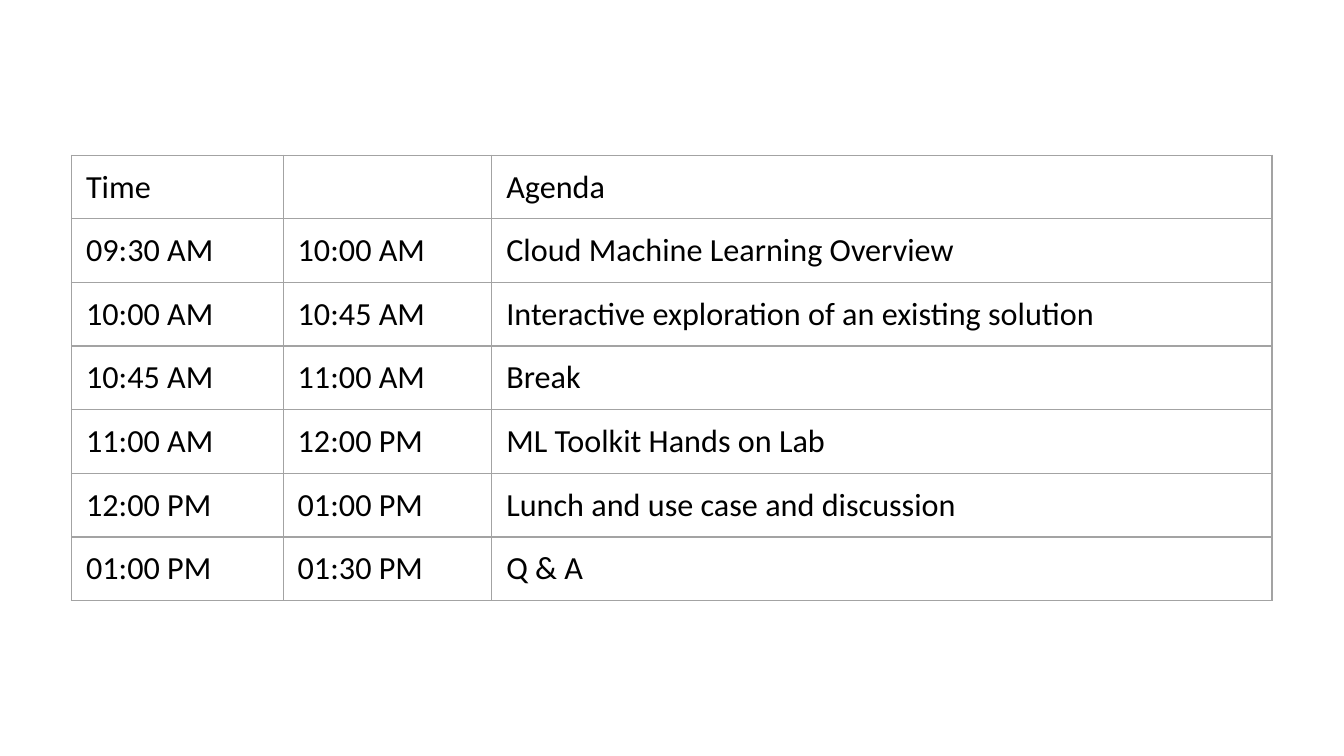
from lxml.etree import SubElement
from pptx import Presentation
from pptx.dml.color import RGBColor
from pptx.enum.text import MSO_ANCHOR
from pptx.oxml.ns import qn
from pptx.util import Pt

BLACK = RGBColor(0x00, 0x00, 0x00)
BORDER_GREY = RGBColor(0xA3, 0xA3, 0xA3)
COLUMN_WIDTHS = (151.2, 149, 557.3)
ROW_HEIGHT = 45.46
AGENDA = (
    ("Time", "", "Agenda"),
    ("09:30 AM", "10:00 AM", "Cloud Machine Learning Overview"),
    ("10:00 AM", "10:45 AM", "Interactive exploration of an existing solution"),
    ("10:45 AM", "11:00 AM", "Break"),
    ("11:00 AM", "12:00 PM", "ML Toolkit Hands on Lab"),
    ("12:00 PM", "01:00 PM", "Lunch and use case and discussion"),
    ("01:00 PM", "01:30 PM", "Q & A"),
)


def add_borders(cell):
    """Draw a thin grey line on all four sides of a cell."""
    properties = cell._tc.get_or_add_tcPr()
    for side in ("a:lnL", "a:lnR", "a:lnT", "a:lnB"):
        line = SubElement(properties, qn(side), w=str(Pt(1)))
        fill = SubElement(line, qn("a:solidFill"))
        SubElement(fill, qn("a:srgbClr"), val=str(BORDER_GREY))


def format_cell(cell, text):
    """Write the text of a cell and set its margins, font and borders."""
    cell.margin_left = cell.margin_right = Pt(10.4)
    cell.margin_top = cell.margin_bottom = Pt(8.6)
    cell.vertical_anchor = MSO_ANCHOR.TOP
    add_borders(cell)
    cell.fill.background()
    cell.text = text
    font = cell.text_frame.paragraphs[0].font
    font.name = "Calibri"
    font.size = Pt(23)
    font.color.rgb = BLACK


def add_agenda_table(slide, left, top):
    """Add the agenda as a plain ruled table."""
    table = slide.shapes.add_table(
        len(AGENDA), len(COLUMN_WIDTHS), Pt(left), Pt(top),
        Pt(sum(COLUMN_WIDTHS)), Pt(ROW_HEIGHT * len(AGENDA)),
    ).table
    table.first_row = False
    table.horz_banding = False
    for column, width in zip(table.columns, COLUMN_WIDTHS):
        column.width = Pt(width)
    for row, texts in zip(table.rows, AGENDA):
        row.height = Pt(ROW_HEIGHT)
        for cell, text in zip(row.cells, texts):
            format_cell(cell, text)


def main():
    """Build the agenda slide and save it."""
    presentation = Presentation()
    presentation.slide_width = Pt(960)
    presentation.slide_height = Pt(540)
    slide = presentation.slides.add_slide(presentation.slide_layouts[6])
    add_agenda_table(slide, left=51.1, top=110.9)
    presentation.save("out.pptx")


if __name__ == "__main__":
    main()
